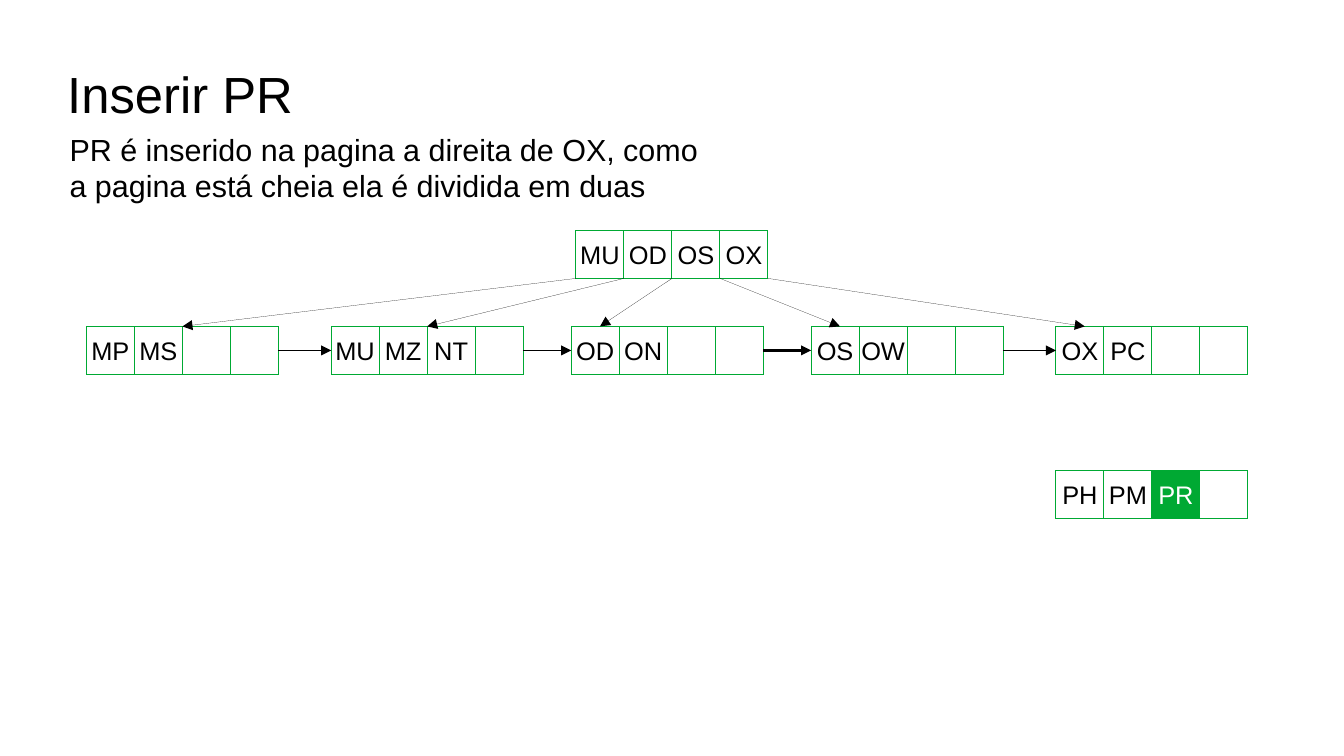
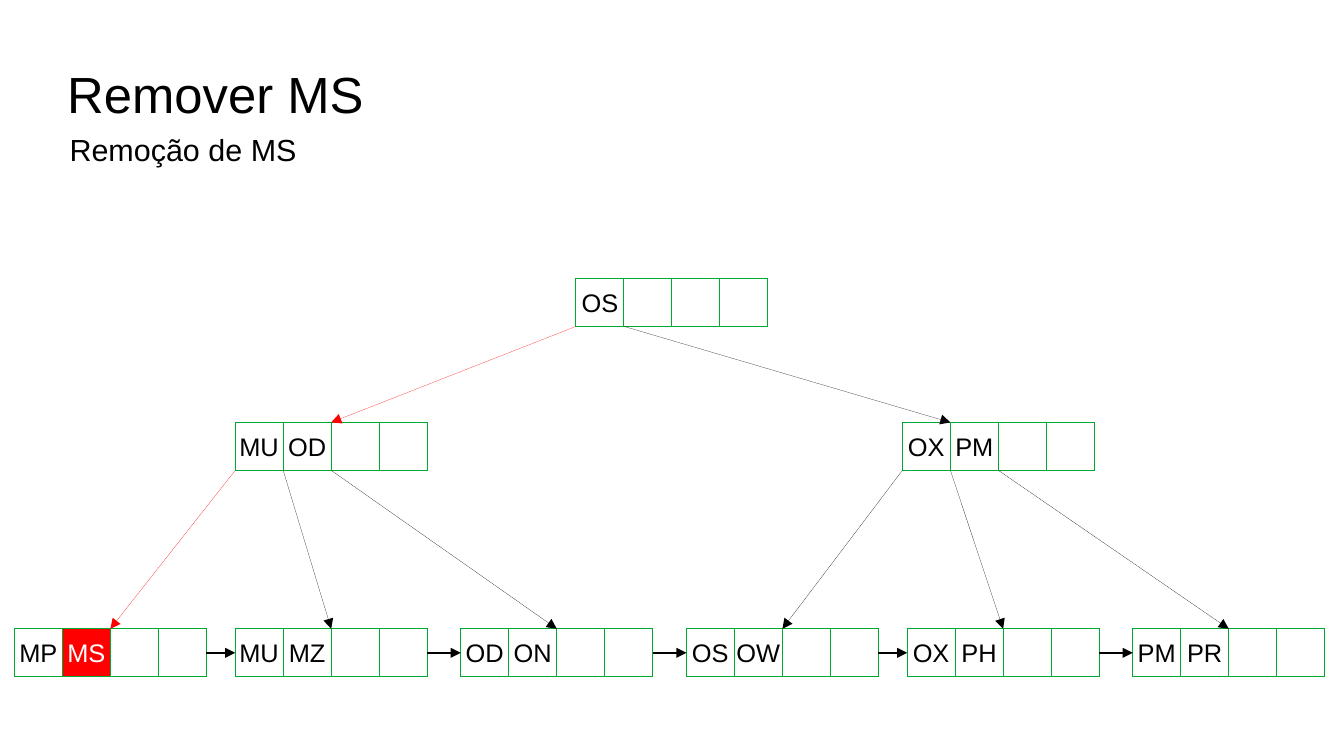
from dataclasses import dataclass
from itertools import pairwise

from lxml.etree import SubElement
from pptx import Presentation
from pptx.dml.color import RGBColor
from pptx.enum.shapes import MSO_CONNECTOR, MSO_SHAPE
from pptx.enum.text import MSO_ANCHOR, PP_ALIGN
from pptx.oxml.ns import qn
from pptx.shapes.autoshape import Shape
from pptx.shapes.connector import Connector
from pptx.slide import Slide
from pptx.text.text import TextFrame
from pptx.util import Cm, Emu, Length, Pt

BLACK = RGBColor(0x00, 0x00, 0x00)
WHITE = RGBColor(0xFF, 0xFF, 0xFF)
GREEN = RGBColor(0x00, 0xA9, 0x33)
RED = RGBColor(0xFF, 0x00, 0x00)
FONT = "Arial"
SLOTS = 4
CELL = 1.0
HAIR = Emu(1)
THIN = Pt(1)
THICK = Pt(1.5)


@dataclass(frozen=True)
class Page:
    """A tree page of four slots; one key may be marked with a tint."""

    left: float
    top: float
    keys: str
    mark: str = ""
    tint: RGBColor = GREEN


@dataclass(frozen=True)
class Branch:
    """An arrow from a slot corner of a page to the top edge of its child."""

    page: Page
    slot: int
    child: Page
    shift: float = 2.0
    tint: RGBColor = BLACK


@dataclass(frozen=True)
class Scene:
    """The contents of one slide."""

    title: str
    note: str
    width: float
    height: float
    leaves: list[Page]
    others: list[Page]
    tree: list[Branch]


def style(frame: TextFrame, text: str, size: int, tint: RGBColor = BLACK) -> None:
    """Write one paragraph in the shared font."""
    frame.text = text
    font = frame.paragraphs[0].font
    font.name, font.size = FONT, Pt(size)
    font.color.rgb = tint


def place(shape: Shape, left: float, top: float, width: float, height: float) -> None:
    """Move and size a shape in centimetres."""
    shape.left, shape.top = Cm(left), Cm(top)
    shape.width, shape.height = Cm(width), Cm(height)


def head(slide: Slide, scene: Scene) -> None:
    """Fill the title and the note below it."""
    title = slide.shapes.title
    place(title, 1.4, 0.63, 25.2, 2.63)
    frame = title.text_frame
    frame.margin_left = frame.margin_right = Cm(0)
    frame.margin_top = frame.margin_bottom = Cm(0)
    frame.vertical_anchor = MSO_ANCHOR.MIDDLE
    style(frame, scene.title, 30)
    frame.paragraphs[0].alignment = PP_ALIGN.LEFT
    box = slide.shapes.add_textbox(Cm(1.2), Cm(2.6), Cm(scene.width), Cm(scene.height))
    box.text_frame.word_wrap = True
    style(box.text_frame, scene.note, 18)


def draw(slide: Slide, page: Page) -> list[Shape]:
    """Draw the slots of a page and return them."""
    keys = page.keys.split()
    cells = []
    for slot in range(SLOTS):
        key = keys[slot] if slot < len(keys) else ""
        lit = bool(key) and key == page.mark
        cell = slide.shapes.add_shape(
            MSO_SHAPE.RECTANGLE, Cm(page.left + slot * CELL), Cm(page.top), Cm(CELL), Cm(CELL))
        cell.shadow.inherit = False
        cell.fill.solid()
        cell.fill.fore_color.rgb = page.tint if lit else WHITE
        cell.line.color.rgb = GREEN
        cell.line.width = HAIR
        if key:
            frame = cell.text_frame
            frame.word_wrap = False
            frame.vertical_anchor = MSO_ANCHOR.MIDDLE
            style(frame, key, 15, WHITE if lit else BLACK)
            frame.paragraphs[0].alignment = PP_ALIGN.CENTER
        cells.append(cell)
    return cells


def arrow(slide: Slide, start: tuple[float, float], end: tuple[float, float],
          tint: RGBColor, width: Length) -> Connector:
    """Draw a straight arrow between two points in centimetres."""
    link = slide.shapes.add_connector(MSO_CONNECTOR.STRAIGHT, *map(Cm, start + end))
    link.line.color.rgb = tint
    link.line.width = width
    props = link.element.spPr
    SubElement(props.find(qn("a:ln")), qn("a:tailEnd"), type="triangle")
    SubElement(props, qn("a:effectLst"))
    return link


def chain(slide: Slide, leaves: list[Page]) -> None:
    """Draw the leaves and link each one to the next."""
    rows = [(leaf, draw(slide, leaf)) for leaf in leaves]
    for (leaf, cells), (after, nexts) in pairwise(rows):
        mid = leaf.top + CELL / 2
        width = THICK if leaf.keys.startswith("OD") else THIN
        link = arrow(slide, (leaf.left + SLOTS * CELL, mid), (after.left, mid), BLACK, width)
        link.begin_connect(cells[-1], 3)
        link.end_connect(nexts[0], 1)


def build(slide: Slide, scene: Scene) -> None:
    """Draw a whole scene."""
    head(slide, scene)
    chain(slide, scene.leaves)
    for page in scene.others:
        draw(slide, page)
    for item in scene.tree:
        start = (item.page.left + item.slot * CELL, item.page.top + CELL)
        end = (item.child.left + item.shift, item.child.top)
        arrow(slide, start, end, item.tint, HAIR)


def insert() -> Scene:
    """Describe the insertion of PR."""
    root = Page(12, 4.8, "MU OD OS OX")
    row = [(1.8, "MP MS"), (6.9, "MU MZ NT"), (11.9, "OD ON"), (16.9, "OS OW"), (22, "OX PC")]
    leaves = [Page(left, 6.8, keys) for left, keys in row]
    split = Page(22, 9.8, "PH PM PR", "PR")
    shifts = (2, 2, 0.6, 0.6, 0.6)
    tree = [Branch(root, slot, leaf, shift)
            for slot, (leaf, shift) in enumerate(zip(leaves, shifts))]
    note = "PR é inserido na pagina a direita de OX, como a pagina está cheia ela é dividida em duas"
    return Scene("Inserir PR", note, 14, 3.8, leaves, [root, split], tree)


def remove() -> Scene:
    """Describe the removal of MS."""
    root = Page(12, 5.8, "OS")
    west, east = Page(4.9, 8.8, "MU OD"), Page(18.8, 8.8, "OX PM")
    row = [(0.3, "MP MS"), (4.9, "MU MZ"), (9.6, "OD ON"),
           (14.3, "OS OW"), (18.9, "OX PH"), (23.6, "PM PR")]
    leaves = [Page(left, 13.1, keys, "MS", RED) for left, keys in row]
    tree = [Branch(root, 0, west, tint=RED), Branch(root, 1, east, 1)]
    for place_no, leaf in enumerate(leaves):
        side, slot = divmod(place_no, 3)
        tint = RED if leaf.mark in leaf.keys else BLACK
        tree.append(Branch((west, east)[side], slot, leaf, tint=tint))
    return Scene("Remover MS", "Remoção de MS", 25.8, 3.1, leaves, [west, east, root], tree)


def main() -> None:
    """Build and save the slides."""
    deck = Presentation()
    deck.slide_width, deck.slide_height = Cm(28), Cm(15.75)
    for scene in (insert(), remove()):
        build(deck.slides.add_slide(deck.slide_layouts[5]), scene)
    deck.save("out.pptx")


if __name__ == "__main__":
    main()
